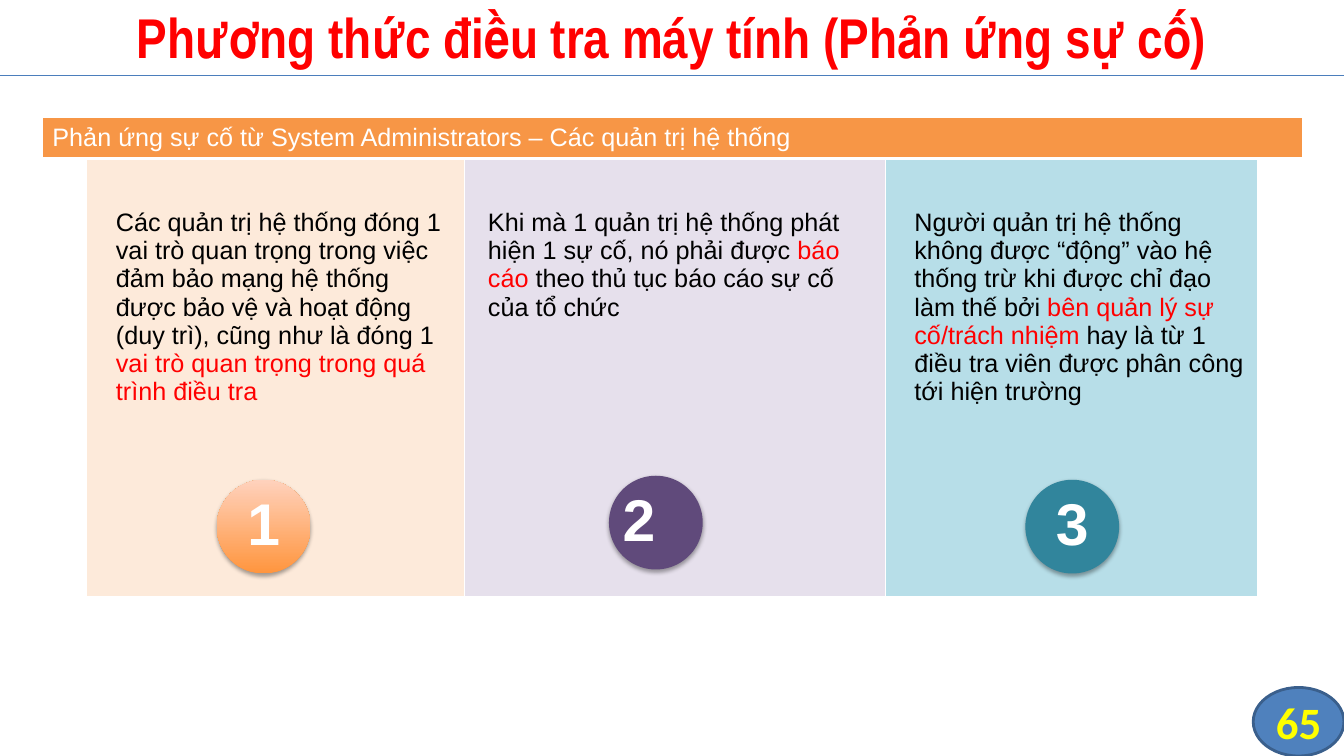
import pptx
import pptx.util
import pptx.dml.color
import pptx.enum.shapes
import pptx.enum.text
import lxml.etree
from dataclasses import dataclass
from itertools import accumulate

Inches, Pt = pptx.util.Inches, pptx.util.Pt
RGB = pptx.dml.color.RGBColor.from_string
SHAPE = pptx.enum.shapes.MSO_SHAPE
ALIGN = pptx.enum.text.PP_ALIGN
MIDDLE = pptx.enum.text.MSO_ANCHOR.MIDDLE
A = "http://schemas.openxmlformats.org/drawingml/2006/main"

TITLE = "Phương thức điều tra máy tính (Phản ứng sự cố)"
BANNER = "Phản ứng sự cố từ System Administrators – Các quản trị hệ thống"
PAGE = "65"
CARDS = [
    dict(width=3.75, indent=0.29, fill="FDEADA", disc=("FF953E", "FFD2BD"),
         at=(2.15, 4.76), align=ALIGN.CENTER, text=[
             ("Các quản trị hệ thống đóng 1 vai trò quan trọng trong việc đảm bảo mạng hệ thống "
              "được bảo vệ và hoạt động (duy trì), cũng như là đóng 1 ", False),
             ("vai trò quan trọng trong quá trình điều tra", True)]),
    dict(width=4.17, indent=0.23, fill="E6E0EC", disc=("604A7B",),
         at=(6.04, 4.72), align=ALIGN.LEFT, text=[
             ("Khi mà 1 quản trị hệ thống phát hiện 1 sự cố, nó phải được ", False),
             ("báo cáo", True),
             (" theo thủ tục báo cáo sự cố của tổ chức", False)]),
    dict(width=3.69, indent=0.29, fill="B7DEE8", disc=("31859C",),
         at=(10.17, 4.76), align=ALIGN.CENTER, text=[
             ("Người quản trị hệ thống không được “động” vào hệ thống trừ khi được chỉ đạo "
              "làm thế bởi ", False),
             ("bên quản lý sự cố/trách nhiệm", True),
             (" hay là từ 1 điều tra viên được phân công tới hiện trường", False)]),
]


@dataclass
class Theme:
    font: str = "Arial"
    title_font: str = "Arial Narrow"
    page_font: str = "Calibri"
    white: str = "FFFFFF"
    ink: str = "000000"
    accent: str = "FF0000"
    banner: str = "F79646"
    rule: str = "4B7EBC"
    badge: str = "4F81BD"
    badge_line: str = "3A5F8C"
    page: str = "FFFF00"
    title_size: int = 40
    body_size: int = 18
    disc_size: int = 42
    page_size: int = 32


T = Theme()
W, H = 13.33, 7.5
TITLE_H = 0.1 * H
DISC = 0.93


def style(p, name, size, color=None, bold=False):
    p.font.name, p.font.size, p.font.bold = name, Pt(size), bold
    if color:
        p.font.color.rgb = RGB(color)


def paint(obj, color):
    obj.fill.solid()
    obj.fill.fore_color.rgb = RGB(color)


def add_table(s, x, y, widths, heights):
    frame = s.shapes.add_table(len(heights), len(widths), Inches(x), Inches(y),
                               Inches(sum(widths)), Inches(sum(heights)))
    table = frame.table
    table.horz_banding = False
    for column, width in zip(table.columns, widths):
        column.width = Inches(width)
    for row, height in zip(table.rows, heights):
        row.height = Inches(height)
    return table


def add_round(s, kind, x, y, w, h, text, align, fills):
    sp = s.shapes.add_shape(kind, Inches(x), Inches(y), Inches(w), Inches(h))
    sp.shadow.inherit = False
    if len(fills) == 1:
        paint(sp, fills[0])
    else:
        sp.fill.gradient()
        sp.fill.gradient_angle = 90
        for stop, color, position in zip(sp.fill.gradient_stops, fills, (0, 1)):
            stop.color.rgb = RGB(color)
            stop.position = position
    sp.line.fill.background()
    tf = sp.text_frame
    tf.margin_left = tf.margin_right = tf.margin_top = tf.margin_bottom = 0
    tf.vertical_anchor = MIDDLE
    p = tf.paragraphs[0]
    p.text, p.alignment = text, align
    return sp


def add_shadow(sp):
    effects = sp._element.spPr.find(f"{{{A}}}effectLst")
    effects.append(lxml.etree.fromstring(
        f'<a:outerShdw xmlns:a="{A}" blurRad="{Pt(3.1)}" dist="{Pt(1.8)}" dir="5400000" '
        f'rotWithShape="0"><a:srgbClr val="{T.ink}"><a:alpha val="35000"/></a:srgbClr>'
        '</a:outerShdw>'))


def add_heading(s):
    rule = s.shapes.add_connector(pptx.enum.shapes.MSO_CONNECTOR.STRAIGHT,
                                  0, Inches(TITLE_H), Inches(W), Inches(TITLE_H))
    rule.line.color.rgb = RGB(T.rule)
    rule.line.width = Pt(0.75)
    lxml.etree.SubElement(rule._element.spPr, f"{{{A}}}effectLst")
    title = s.shapes.title
    title.left, title.top = 0, Inches(-0.03)
    title.width, title.height = Inches(W), Inches(TITLE_H + 0.03)
    tf = title.text_frame
    tf.text, tf.vertical_anchor, tf.word_wrap = TITLE, MIDDLE, True
    tf.auto_size = pptx.enum.text.MSO_AUTO_SIZE.NONE
    tf.paragraphs[0].alignment = ALIGN.CENTER
    style(tf.paragraphs[0], T.title_font, T.title_size, T.accent, True)


def add_banner(s):
    table = add_table(s, 0.42, 1.16, [12.5], [0.36, 2.08])
    for row, color in enumerate((T.banner, T.white)):
        paint(table.cell(row, 0), color)
    p = table.cell(0, 0).text_frame.paragraphs[0]
    p.text, p.line_spacing, p.space_after = BANNER, 1.07, Pt(8)
    style(p, T.font, T.body_size, T.white)


def add_cards(s):
    table = add_table(s, 0.86, 1.58, [card["width"] for card in CARDS], [4.34])
    for i, card in enumerate(CARDS):
        cell = table.cell(0, i)
        paint(cell, card["fill"])
        cell.margin_left, cell.margin_top = Inches(card["indent"]), Inches(0.49)
        p = cell.text_frame.paragraphs[0]
        style(p, T.font, T.body_size)
        for text, marked in card["text"]:
            r = p.add_run()
            r.text = text
            r.font.color.rgb = RGB(T.accent if marked else T.ink)
    for number, card in enumerate(CARDS, 1):
        sp = add_round(s, SHAPE.OVAL, *card["at"], DISC, DISC, str(number),
                       card["align"], card["disc"])
        add_shadow(sp)
        p = sp.text_frame.paragraphs[0]
        p.line_spacing = 0.9
        style(p, T.font, T.disc_size, T.white, True)


def add_page_badge(s):
    sp = add_round(s, SHAPE.FLOWCHART_CONNECTOR, W - 0.9, H - 0.68, 0.9, 0.68,
                   PAGE, ALIGN.CENTER, (T.badge,))
    sp.line.color.rgb = RGB(T.badge_line)
    sp.line.width = Pt(2)
    style(sp.text_frame.paragraphs[0], T.page_font, T.page_size, T.page, True)


def main():
    prs = pptx.Presentation()
    prs.slide_width, prs.slide_height = Inches(W), Inches(H)
    s = prs.slides.add_slide(prs.slide_layouts[5])
    add_heading(s)
    add_banner(s)
    add_cards(s)
    add_page_badge(s)
    prs.save("out.pptx")


if __name__ == "__main__":
    main()
